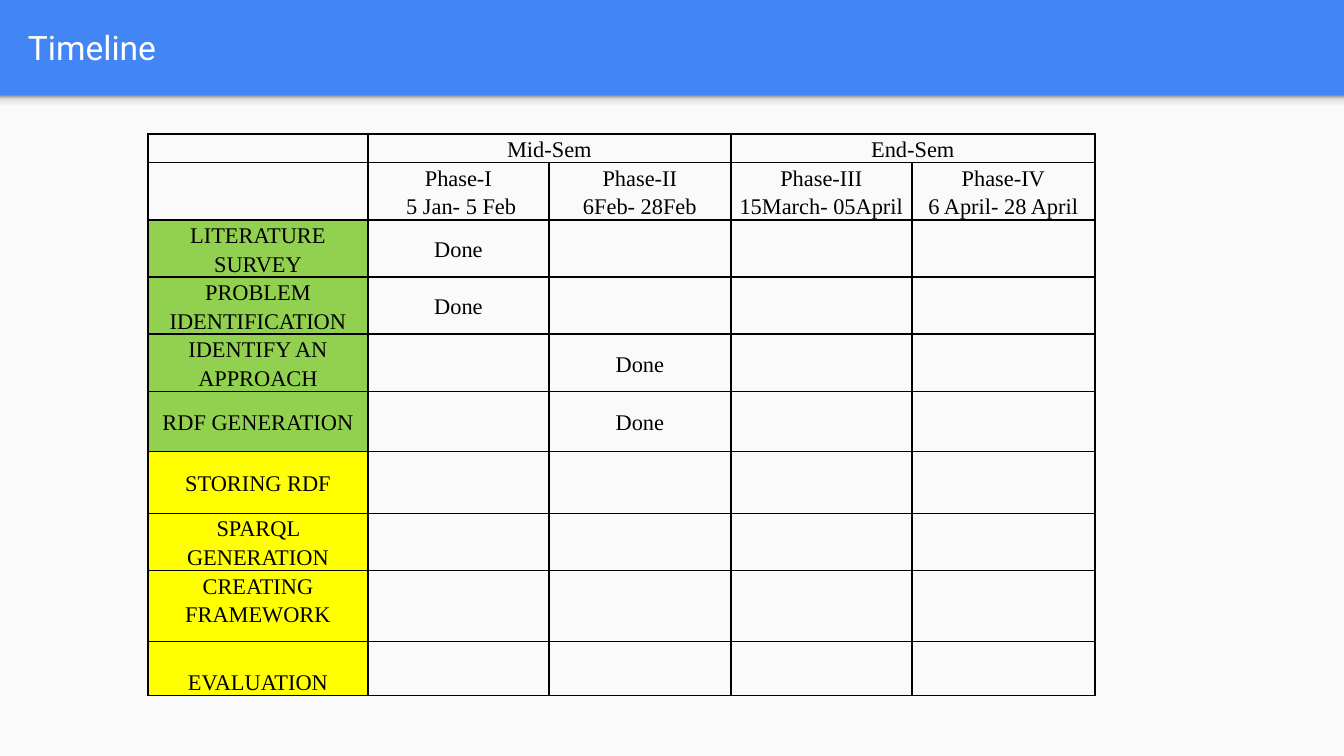
from lxml import etree
from pptx import Presentation
from pptx.dml.color import RGBColor
from pptx.enum.shapes import MSO_SHAPE
from pptx.enum.text import MSO_ANCHOR, PP_ALIGN
from pptx.oxml import parse_xml
from pptx.oxml.ns import nsdecls, qn
from pptx.util import Pt

RECTANGLE = MSO_SHAPE.RECTANGLE
LEFT, CENTER = PP_ALIGN.LEFT, PP_ALIGN.CENTER
TOP, MIDDLE, BOTTOM = MSO_ANCHOR.TOP, MSO_ANCHOR.MIDDLE, MSO_ANCHOR.BOTTOM

EMU_PER_PX = 914400 / 134.4
SLIDE_WIDTH, SLIDE_HEIGHT = 1344, 756
HEADER_HEIGHT = 96
BLUE, PAPER, BLACK, WHITE = "4285F4", "FAFAFA", "000000", "FFFFFF"
GREEN, YELLOW = "92D050", "FFFF00"
SHADOW_STOPS = [(0, "999999"), (20, "DEDEDE"), (64, "F9F9F9"), (100, "F9F9F9")]

COLUMN_WIDTHS = [220, 181, 182, 181, 183]
HEADINGS = ["Phase-I\n 5 Jan- 5 Feb", "Phase-II\n6Feb- 28Feb",
            "Phase-III\n15March- 05April", "Phase-IV\n6 April- 28 April"]
HEADING_HEIGHTS = [28, 57]
# Task, row height, fill, anchor, column marked as done
TASKS = [
    ("LITERATURE SURVEY", 57, GREEN, MIDDLE, 1),
    ("PROBLEM IDENTIFICATION", 57, GREEN, MIDDLE, 1),
    ("IDENTIFY AN APPROACH", 57, GREEN, MIDDLE, 2),
    ("RDF GENERATION", 60, GREEN, MIDDLE, 2),
    ("STORING RDF", 62, YELLOW, MIDDLE, None),
    ("SPARQL GENERATION", 57, YELLOW, TOP, None),
    ("CREATING FRAMEWORK", 71, YELLOW, TOP, None),
    ("EVALUATION", 54, YELLOW, BOTTOM, None),
]


def px(length):
    return round(length * EMU_PER_PX)


def rgb(hex_color):
    return RGBColor.from_string(hex_color)


def style_font(font, name, size, color):
    font.name, font.size = name, Pt(size)
    font.color.rgb = rgb(color)


def add_panel(page, left, top, width, height, color):
    panel = page.shapes.add_shape(RECTANGLE, px(left), px(top), px(width), px(height))
    panel.shadow.inherit = False
    panel.line.fill.background()
    panel.fill.solid()
    panel.fill.fore_color.rgb = rgb(color)
    return panel


def add_shadow(page, left, top, width, height):
    band = add_panel(page, left, top, width, height, PAPER)
    stops = "".join(f'<a:gs pos="{position * 1000}"><a:srgbClr val="{color}"/></a:gs>'
                    for position, color in SHADOW_STOPS)
    gradient = parse_xml(f'<a:gradFill {nsdecls("a")}><a:gsLst>{stops}</a:gsLst>'
                         '<a:lin ang="5400000" scaled="0"/></a:gradFill>')
    properties = band.fill._xPr
    properties.replace(properties.find(qn("a:solidFill")), gradient)


def add_header(page, left, top, width, height):
    title = page.shapes.title
    title.left, title.top = px(left + 15), px(top + 3)
    title.width, title.height = px(width - 47), px(height - 7)
    frame = title.text_frame
    frame.text = "Timeline"
    frame.vertical_anchor = MIDDLE
    frame.margin_left = frame.margin_right = px(13)
    para = frame.paragraphs[0]
    para.alignment = LEFT
    style_font(para.font, "Roboto", 18, WHITE)


def add_borders(cell):
    properties = cell._tc.get_or_add_tcPr()
    for index, side in enumerate(("lnL", "lnR", "lnT", "lnB")):
        line = etree.Element(qn(f"a:{side}"), w=str(Pt(1)))
        fill = etree.SubElement(line, qn("a:solidFill"))
        etree.SubElement(fill, qn("a:srgbClr"), val=BLACK)
        properties.insert(index, line)


def format_cell(cell):
    cell.margin_left = cell.margin_right = px(7)
    cell.margin_top = cell.margin_bottom = 0
    cell.vertical_anchor = MIDDLE
    cell.fill.background()
    add_borders(cell)
    write_cell(cell, "")


def write_cell(cell, text):
    cell.text = text
    for para in cell.text_frame.paragraphs:
        para.alignment = CENTER
        para.line_spacing = 1.15
        style_font(para.font, "Times New Roman", 12, BLACK)


def add_schedule(page, left, top):
    heights = HEADING_HEIGHTS + [task[1] for task in TASKS]
    table = page.shapes.add_table(
        len(heights), len(COLUMN_WIDTHS), px(left), px(top),
        px(sum(COLUMN_WIDTHS)), px(sum(heights))).table
    table.first_row = table.horz_banding = False
    for column, width in zip(table.columns, COLUMN_WIDTHS):
        column.width = px(width)
    for row, height in zip(table.rows, heights):
        row.height = px(height)
        for cell in row.cells:
            format_cell(cell)

    # Semester and phase headings
    for column, semester in ((1, "Mid-Sem"), (3, "End-Sem")):
        table.cell(0, column).merge(table.cell(0, column + 1))
        write_cell(table.cell(0, column), semester)
    for column, heading in enumerate(HEADINGS, 1):
        write_cell(table.cell(1, column), heading)

    # Tasks and their progress
    for row, (task, _, color, anchor, done_column) in enumerate(TASKS, 2):
        cell = table.cell(row, 0)
        write_cell(cell, task)
        cell.vertical_anchor = anchor
        cell.fill.solid()
        cell.fill.fore_color.rgb = rgb(color)
        if done_column:
            write_cell(table.cell(row, done_column), "Done")


def main():
    deck = Presentation()
    deck.slide_width, deck.slide_height = px(SLIDE_WIDTH), px(SLIDE_HEIGHT)
    page = deck.slides.add_slide(deck.slide_layouts[5])
    page.background.fill.solid()
    page.background.fill.fore_color.rgb = rgb(BLUE)
    add_panel(page, 0, HEADER_HEIGHT, SLIDE_WIDTH, SLIDE_HEIGHT - HEADER_HEIGHT, PAPER)
    add_shadow(page, 0, HEADER_HEIGHT, SLIDE_WIDTH, 16)
    add_header(page, 0, 0, SLIDE_WIDTH, HEADER_HEIGHT)
    add_schedule(page, 148, 134)
    deck.save("out.pptx")


if __name__ == "__main__":
    main()
